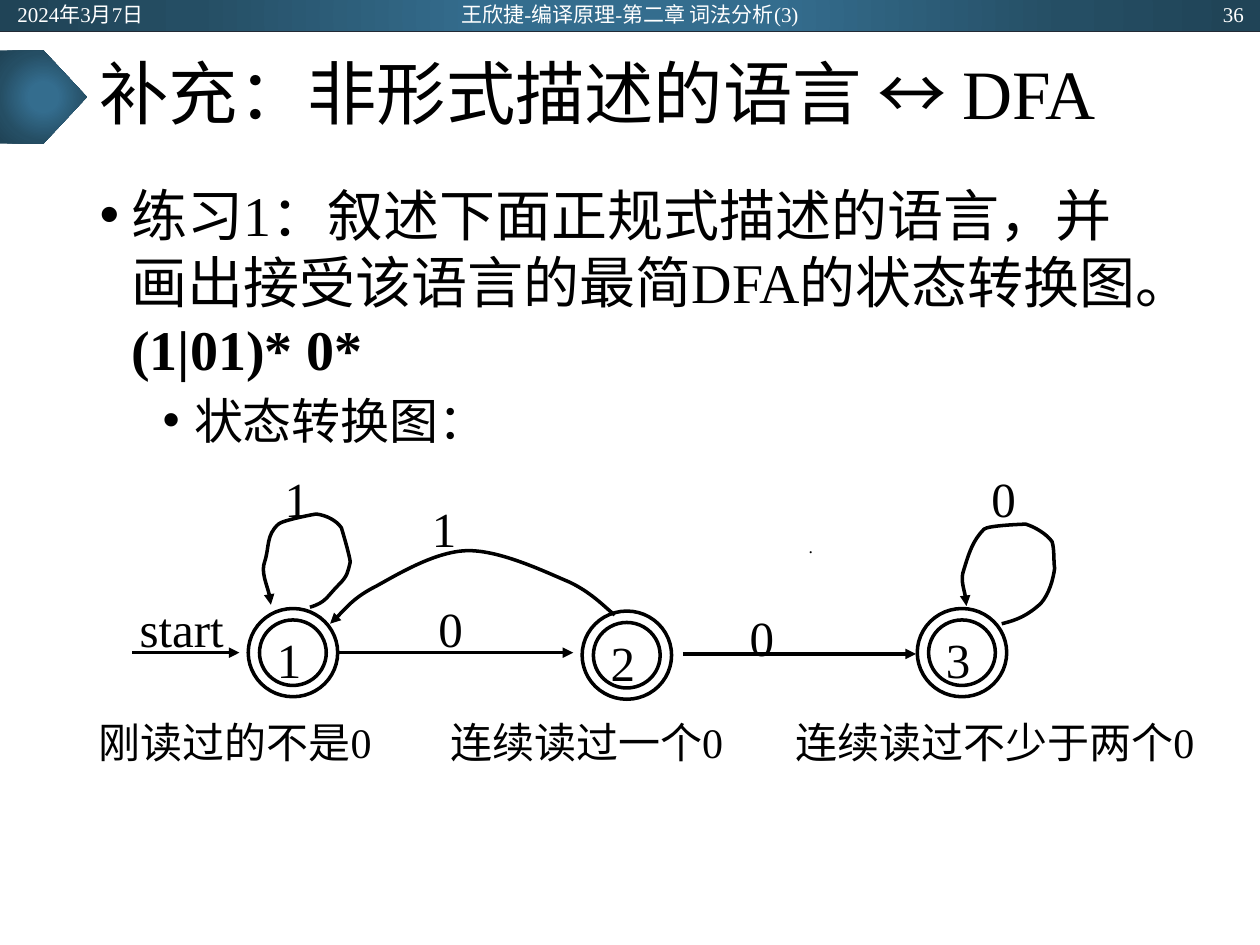
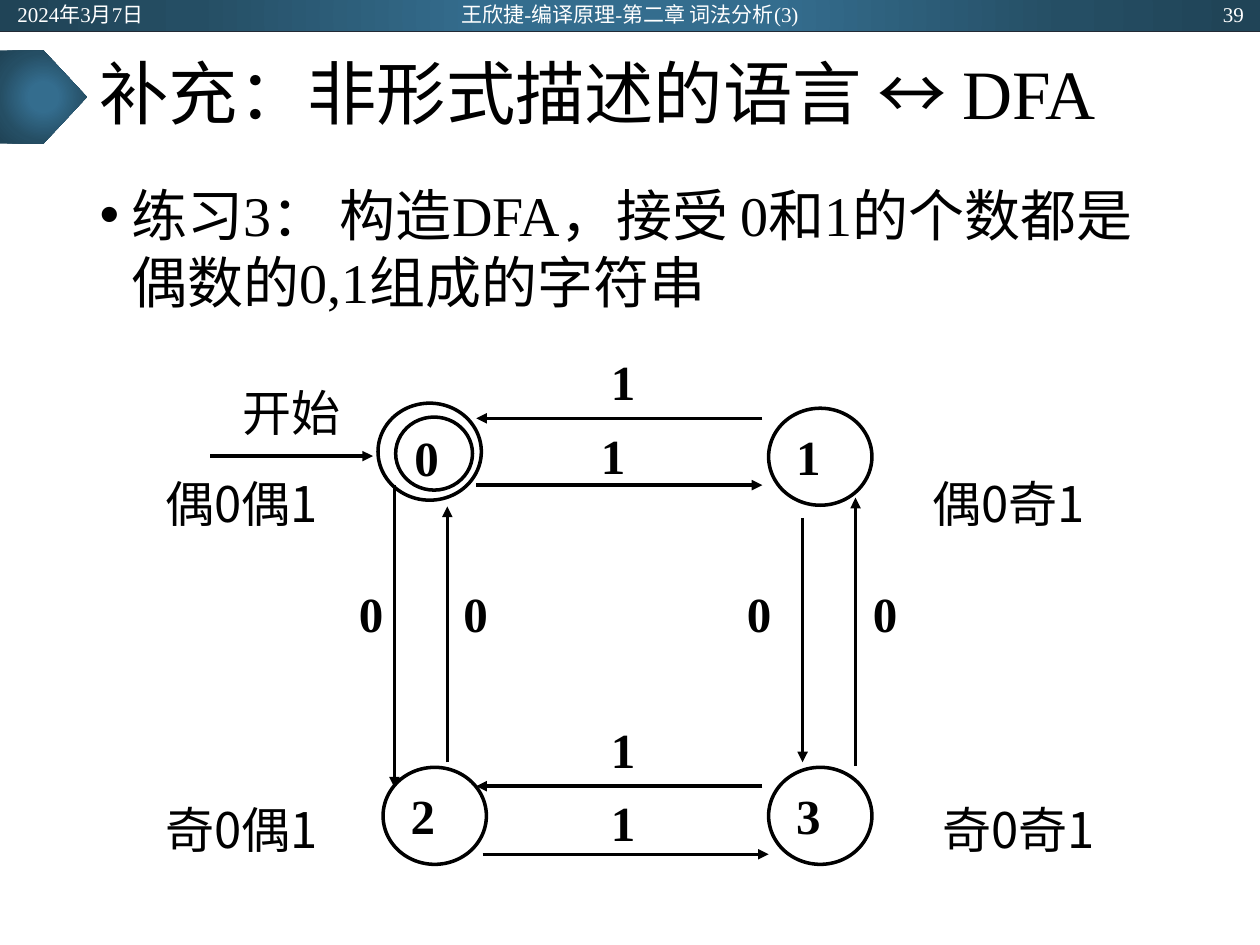
from dataclasses import dataclass
from typing import NamedTuple

from pptx import Presentation
from pptx import slide as sl
from pptx import util as u
from pptx.dml import color
from pptx.enum import shapes, text
from pptx.oxml import ns, parse_xml
from pptx.shapes import autoshape

Inches = u.Inches
Align, Anchor = text.PP_ALIGN, text.MSO_ANCHOR
Kind = shapes.MSO_SHAPE


@dataclass(frozen=True)
class Theme:
    serif: str = "Times New Roman"
    cjk: str = "Noto Sans CJK SC"
    ink: str = "000000"
    white: str = "FFFFFF"
    rule: str = "222A35"
    gradient: tuple = ((0, "346D8E"), (23, "346D8E"), (69, "254E64"), (97, "204457"))
    title_size: float = 39.6
    body_size: float = 32
    state_size: float = 28
    caption_size: float = 24
    footer_size: float = 12
    dot_size: float = 10
    stroke: float = 2
    hairline: float = 0.5


THEME = Theme()
SERIF, CJK = THEME.serif, THEME.cjk


class Box(NamedTuple):
    left: float
    top: float
    width: float
    height: float


class Run(NamedTuple):
    words: str
    font: str = SERIF
    bold: bool = False


class Bullet(NamedTuple):
    runs: list[Run]
    level: int = 0


class Label(NamedTuple):
    run: Run
    box: Box
    size: float = THEME.state_size


class State(NamedTuple):
    box: Box
    run: Run | None = None
    margins: tuple = (0.1, 0.03, 0.1, 0.05)


class Arrow(NamedTuple):
    x1: float
    y1: float
    x2: float
    y2: float


EDGE_MARGINS = (0.1, 0.01, 0.1, 0.05)
CAPTION_MARGINS = (0.06, 0.03, 0.06, 0.03)
INNER_MARGINS = (0.06, 0, 0.04, 0)
FOOTER_MARGINS = (0.1, 0.05, 0.1, 0.05)


def assign(target: object, values: dict[str, object]) -> None:
    for key, value in values.items():
        setattr(target, key, value)


def emu(box: Box) -> list[int]:
    return [Inches(length) for length in box]


def place(target: autoshape.Shape, box: Box) -> None:
    assign(target, dict(zip(("left", "top", "width", "height"), emu(box))))


def add_run(paragraph, run: Run, size: float, tint: str = THEME.ink) -> None:
    piece = paragraph.add_run()
    piece.text = run.words
    assign(piece.font, {"name": run.font, "size": u.Pt(size), "bold": run.bold})
    piece.font.color.rgb = color.RGBColor.from_string(tint)
    piece.font._element.append(parse_xml(f'<a:ea {ns.nsdecls("a")} typeface="{CJK}"/>'))


def set_frame(target: autoshape.Shape, margins: tuple, anchor: Anchor, wrap: bool = True) -> None:
    sides = ("margin_left", "margin_top", "margin_right", "margin_bottom")
    assign(target.text_frame, {
        **dict(zip(sides, map(Inches, margins))),
        "vertical_anchor": anchor, "word_wrap": wrap,
        "auto_size": text.MSO_AUTO_SIZE.NONE,
    })


def write(target: autoshape.Shape, run: Run, size: float, align: Align, tint: str = THEME.ink) -> None:
    paragraph = target.text_frame.paragraphs[0]
    paragraph.alignment = align
    add_run(paragraph, run, size, tint)


def ink_line(target, tint: str = THEME.ink, width: float = THEME.stroke, arrow: bool = False) -> None:
    target.line.color.rgb = color.RGBColor.from_string(tint)
    target.line.width = u.Pt(width)
    if arrow:
        target.line._get_or_add_ln().append(
            parse_xml(f'<a:tailEnd {ns.nsdecls("a")} type="triangle"/>'))


def add_line(slide: sl.Slide, ends: Arrow, **style) -> None:
    line = slide.shapes.add_connector(shapes.MSO_CONNECTOR.STRAIGHT, *map(Inches, ends))
    ink_line(line, **style)
    line._element.spPr.append(parse_xml(f'<a:effectLst {ns.nsdecls("a")}/>'))


def add_gradient_shape(slide: sl.Slide, kind: Kind, box: Box) -> None:
    band = slide.shapes.add_shape(kind, *emu(box))
    band.shadow.inherit = False
    band.line.fill.background()
    band.fill.background()
    stops = "".join(f'<a:gs pos="{at * 1000}"><a:srgbClr val="{tint}"/></a:gs>'
                    for at, tint in THEME.gradient)
    gradient = parse_xml(
        f'<a:gradFill {ns.nsdecls("a")} rotWithShape="1"><a:gsLst>{stops}</a:gsLst>'
        '<a:path path="circle"><a:fillToRect l="50000" t="50000" r="50000" b="50000"/>'
        '</a:path></a:gradFill>')
    properties = band._element.spPr
    properties.replace(properties.find(ns.qn("a:noFill")), gradient)


def add_label(slide: sl.Slide, label: Label) -> None:
    box = slide.shapes.add_textbox(*emu(label.box))
    set_frame(box, EDGE_MARGINS, Anchor.TOP)
    write(box, label.run, label.size, Align.JUSTIFY)


def add_caption(slide: sl.Slide, label: Label) -> None:
    box = slide.shapes.add_textbox(*emu(label.box))
    set_frame(box, CAPTION_MARGINS, Anchor.MIDDLE, wrap=False)
    write(box, label.run, label.size, Align.CENTER)


def add_state(slide: sl.Slide, state: State) -> None:
    circle = slide.shapes.add_shape(Kind.OVAL, *emu(state.box))
    circle.shadow.inherit = False
    circle.fill.background()
    ink_line(circle)
    if state.run:
        set_frame(circle, state.margins, Anchor.TOP)
        write(circle, state.run, THEME.state_size, Align.JUSTIFY)


def add_curve(slide: sl.Slide, points: list[tuple[float, float]]) -> None:
    start, *rest = [(Inches(x), Inches(y)) for x, y in points]
    builder = slide.shapes.build_freeform(*start)
    builder.add_line_segments(rest, close=False)
    curve = builder.convert_to_shape()
    curve.shadow.inherit = False
    curve.fill.background()
    ink_line(curve, arrow=True)
    segments = list(curve._element.iter(ns.qn("a:lnTo")))
    for first in range(0, len(segments), 3):
        bezier = parse_xml(f'<a:cubicBezTo {ns.nsdecls("a")}/>')
        segments[first].addprevious(bezier)
        for segment in segments[first:first + 3]:
            bezier.append(segment[0])
            segment.getparent().remove(segment)


def add_bullets(body: autoshape.Shape, bullets: list[Bullet]) -> None:
    for index, bullet in enumerate(bullets):
        frame = body.text_frame
        paragraph = frame.add_paragraph() if index else frame.paragraphs[0]
        properties = paragraph._p.get_or_add_pPr()
        properties.set("marL", str(Inches(0.25 + 0.5 * bullet.level)))
        properties.set("indent", str(Inches(-0.25)))
        for mark in ('buFont {} typeface="Arial"', 'buChar {} char="•"'):
            properties.append(parse_xml(f'<a:{mark.format(ns.nsdecls("a"))}/>'))
        assign(paragraph, {"level": bullet.level, "alignment": Align.LEFT,
                           "space_before": u.Pt(5 if index else 0)})
        for run in bullet.runs:
            add_run(paragraph, run, THEME.state_size if bullet.level else THEME.body_size)


def start_slide(deck, number: str, bullets: list[Bullet]) -> sl.Slide:
    slide = deck.slides.add_slide(deck.slide_layouts[1])
    title, body = slide.placeholders
    place(title, Box(0.69, 0.25, 8.62, 1.04))
    place(body, Box(0.69, 1.38, 8.62, 5.38))
    set_frame(title, FOOTER_MARGINS, Anchor.MIDDLE)
    set_frame(body, FOOTER_MARGINS, Anchor.TOP)
    write(title, Run("补充：非形式描述的语言 ↔ DFA"), THEME.title_size, Align.LEFT)
    title.text_frame.paragraphs[0].line_spacing = 0.9
    add_bullets(body, bullets)

    add_gradient_shape(slide, Kind.RECTANGLE, Box(0, 0, 10, 0.25))
    add_line(slide, Arrow(0, 0.25, 10, 0.25), tint=THEME.rule, width=THEME.hairline)
    add_gradient_shape(slide, Kind.PENTAGON, Box(0, 0.4, 0.69, 0.74))
    for words, left, width, align in (
        ("2024年3月7日", 0.04, 2.25, Align.LEFT),
        ("王欣捷-编译原理-第二章 词法分析(3)", 3.31, 3.38, Align.CENTER),
        (number, 7.72, 2.25, Align.RIGHT),
    ):
        footer = slide.shapes.add_textbox(*emu(Box(left, 0.01, width, 0.2)))
        set_frame(footer, FOOTER_MARGINS, Anchor.MIDDLE)
        write(footer, Run(words), THEME.footer_size, align, THEME.white)
    return slide


def build_regex_slide(deck) -> None:
    slide = start_slide(deck, "36", [
        Bullet([Run("练习", CJK), Run("1"),
                Run("：叙述下面正规式描述的语言，并画出接受该语言的最简", CJK), Run("DFA"),
                Run("的状态转换图。", CJK), Run("(1|01)* 0*", bold=True)]),
        Bullet([Run("状态转换图：", CJK)], level=1),
    ])
    for name, left, top in (("1", 1.97, 4.83), ("2", 4.62, 4.85), ("3", 7.28, 4.83)):
        add_state(slide, State(Box(left, top, 0.71, 0.7)))
        add_state(slide, State(Box(left + 0.09, top + 0.09, 0.53, 0.52), Run(name), INNER_MARGINS))
    for x1, x2, y in ((1.05, 1.9, 5.18), (2.69, 4.55, 5.18), (5.42, 7.27, 5.19)):
        add_line(slide, Arrow(x1, y, x2, y), arrow=True)
    add_curve(slide, [
        (7.95, 4.95), (8.08, 4.92), (8.16, 4.88), (8.26, 4.79), (8.33, 4.71), (8.36, 4.59),
        (8.37, 4.51), (8.36, 4.44), (8.37, 4.37), (8.35, 4.3), (8.31, 4.24), (8.21, 4.18),
        (8.14, 4.16), (8.13, 4.16), (7.84, 4.17), (7.81, 4.2), (7.72, 4.29), (7.69, 4.39),
        (7.65, 4.52), (7.62, 4.6), (7.67, 4.73), (7.67, 4.81)])
    add_curve(slide, [
        (4.88, 4.88), (4.82, 4.84), (4.71, 4.71), (4.52, 4.62), (4.33, 4.54), (3.98, 4.37),
        (3.72, 4.37), (3.47, 4.37), (3.17, 4.55), (2.99, 4.65), (2.81, 4.74), (2.7, 4.88),
        (2.62, 4.95)])
    add_curve(slide, [
        (2.46, 4.82), (2.59, 4.78), (2.59, 4.74), (2.69, 4.64), (2.76, 4.57), (2.76, 4.54),
        (2.78, 4.46), (2.77, 4.39), (2.73, 4.26), (2.71, 4.19), (2.67, 4.13), (2.59, 4.09),
        (2.51, 4.08), (2.5, 4.08), (2.24, 4.13), (2.21, 4.16), (2.11, 4.25), (2.14, 4.34),
        (2.1, 4.46), (2.07, 4.54), (2.15, 4.72), (2.15, 4.8)])
    add_label(slide, Label(Run("start"), Box(1.01, 4.74, 1.06, 0.44)))
    add_label(slide, Label(Run("."), Box(6.32, 4.24, 0.85, 0.48), THEME.dot_size))
    for symbol, left, top in (("0", 3.38, 4.74), ("0", 5.85, 4.81), ("1", 3.33, 3.95),
                              ("1", 2.16, 3.71), ("0", 7.77, 3.71)):
        add_label(slide, Label(Run(symbol), Box(left, top, 0.85, 0.48)))
    for meaning, left, width in (("刚读过的不是0", 0.59, 2.55), ("连续读过一个0", 3.38, 2.55),
                                 ("连续读过不少于两个0", 6.39, 3.01)):
        add_caption(slide, Label(Run(meaning), Box(left, 5.64, width, 0.49), THEME.caption_size))


def build_parity_slide(deck) -> None:
    slide = start_slide(deck, "39", [
        Bullet([Run("练习3： 构造DFA"), Run("，接受 ", CJK), Run("0"), Run("和", CJK), Run("1"),
                Run("的个数都是偶数的", CJK), Run("0,1"), Run("组成的字符串", CJK)]),
    ])
    add_state(slide, State(Box(3, 3.2, 0.82, 0.77)))
    add_state(slide, State(Box(3.14, 3.31, 0.61, 0.58), Run("0", bold=True), INNER_MARGINS))
    for name, left, top in (("1", 6.1, 3.24), ("2", 3.04, 6.09), ("3", 6.1, 6.09)):
        add_state(slide, State(Box(left, top, 0.82, 0.77), Run(name, bold=True)))
    for arrow in (
        Arrow(1.67, 3.62, 2.96, 3.62),
        Arrow(3.78, 3.85, 6.05, 3.85), Arrow(6.05, 3.32, 3.78, 3.32),
        Arrow(6.05, 6.24, 3.78, 6.24), Arrow(3.83, 6.78, 6.1, 6.78),
        Arrow(3.13, 3.85, 3.13, 6.25), Arrow(6.37, 4.11, 6.37, 6.05),
        Arrow(3.55, 6.05, 3.55, 4.02), Arrow(6.79, 6.08, 6.79, 3.95),
    ):
        add_line(slide, arrow, arrow=True)
    for left, top in ((4.75, 2.78), (4.67, 3.37), (4.75, 5.7), (4.75, 6.28)):
        add_label(slide, Label(Run("1", bold=True), Box(left, top, 0.65, 0.53)))
    for left in (2.75, 3.58, 5.83, 6.83):
        add_label(slide, Label(Run("0", bold=True), Box(left, 4.62, 0.97, 0.53)))
    add_label(slide, Label(Run("开始"), Box(1.83, 3.03, 1.62, 0.53)))
    for parity, left, top in (("偶0偶1", 1.08, 3.53), ("偶0奇1", 7.17, 3.53),
                              ("奇0偶1", 1.08, 6.12), ("奇0奇1", 7.25, 6.12)):
        add_caption(slide, Label(Run(parity, CJK), Box(left, top, 1.67, 0.92)))


def main() -> None:
    deck = Presentation()
    assign(deck, {"slide_width": Inches(10), "slide_height": Inches(7.5)})
    build_regex_slide(deck)
    build_parity_slide(deck)
    deck.save("out.pptx")


if __name__ == "__main__":
    main()
